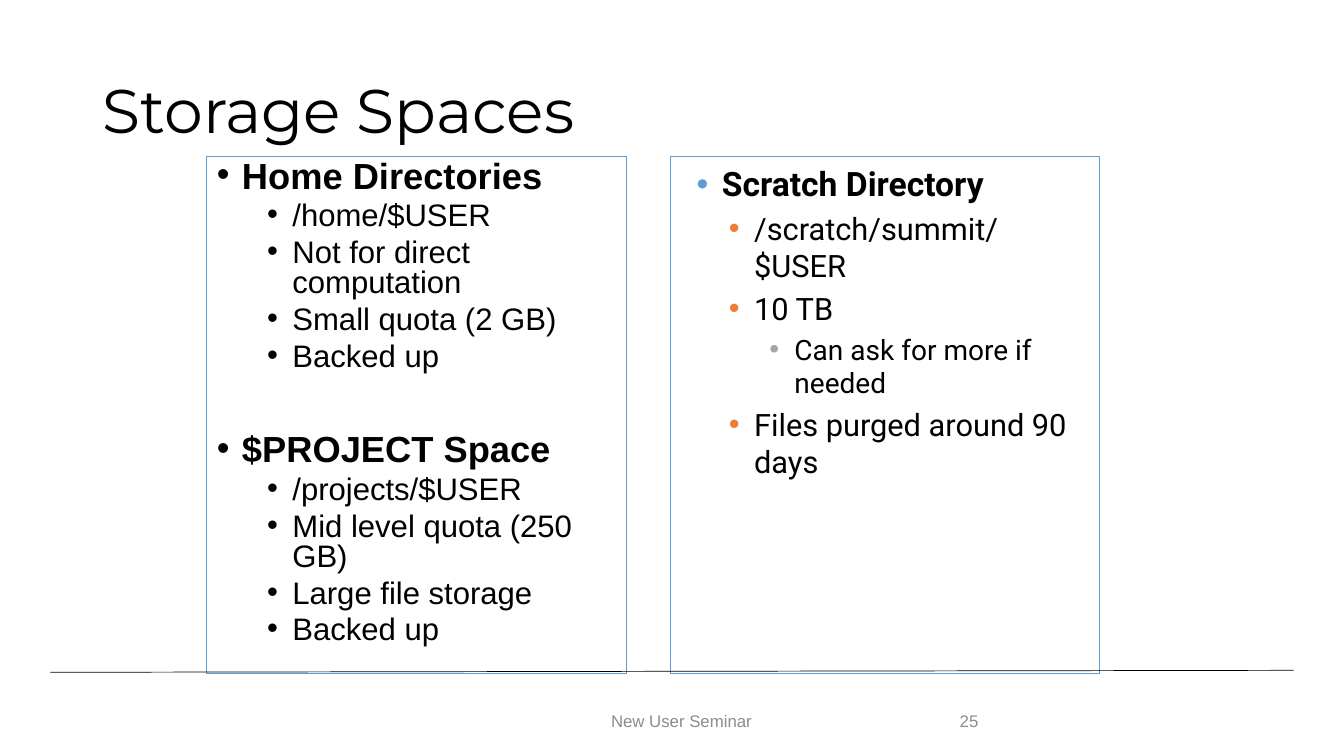
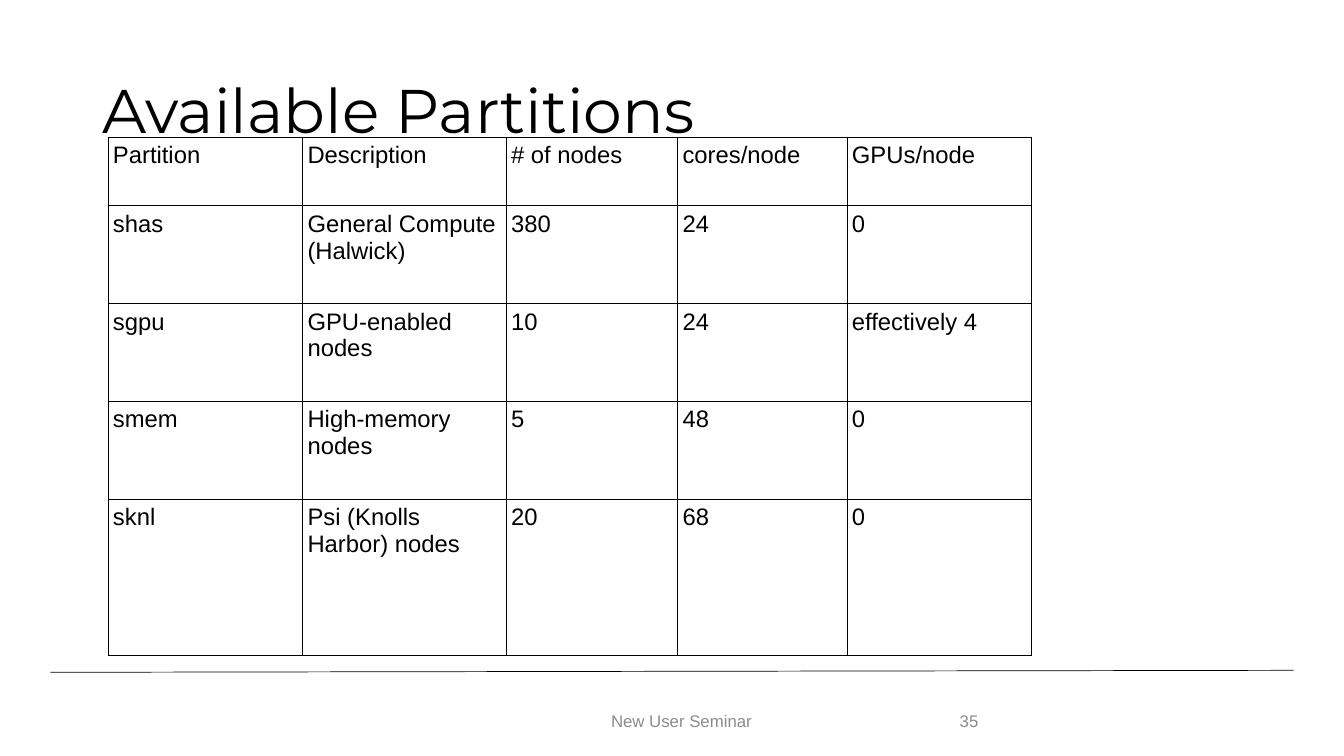
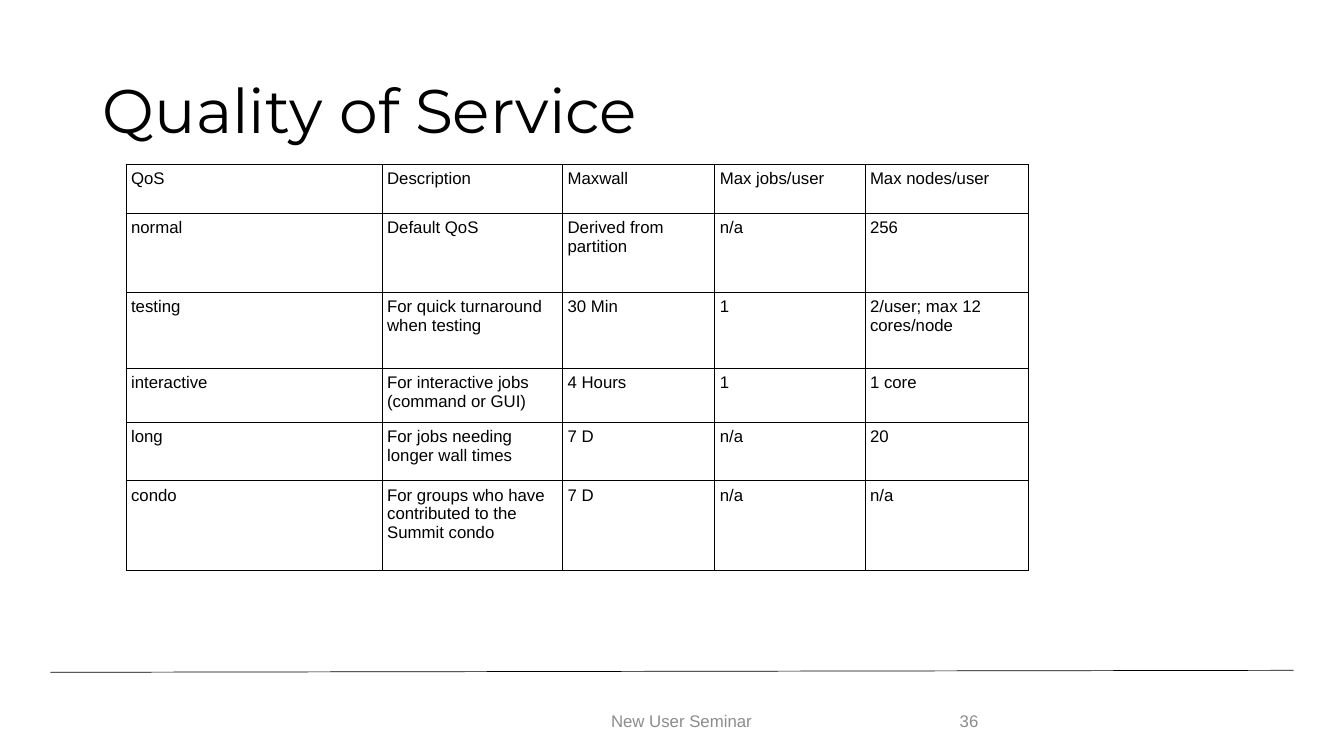
from dataclasses import dataclass

from lxml.etree import SubElement
from pptx import Presentation
from pptx.dml.color import RGBColor
from pptx.enum.shapes import MSO_CONNECTOR
from pptx.enum.text import MSO_ANCHOR, MSO_AUTO_SIZE, PP_ALIGN
from pptx.oxml.ns import qn
from pptx.util import Inches, Pt

BLACK = "000000"
GREY = "8C8C8C"
BLUE = "5B9BD5"
ORANGE = "ED7D31"
SILVER = "A5A5A5"
TITLE_FONT = "Montserrat"
TEXT_FONT = "Arial"
SCRATCH_FONT = "Roboto"
FOOTER = "New User Seminar"
TITLE_ONLY, TWO_CONTENT = 5, 3


@dataclass
class ListLevel:
    size: float
    indent: float
    before: float
    bullet: str = None
    bold: bool = False


HOME_LEVELS = [ListLevel(25.9, 0.25, 10, bold=True), ListLevel(22.2, 0.75, 5)]
SCRATCH_LEVELS = [
    ListLevel(24, 0.38, 4.8, BLUE, True),
    ListLevel(22, 0.7, 4.4, ORANGE),
    ListLevel(20, 1.1, 4, SILVER),
]
SECTION_GAP = 44

HOME_ITEMS = [
    (0, "Home Directories"),
    (1, "/home/$USER"),
    (1, "Not for direct computation"),
    (1, "Small quota (2 GB)"),
    (1, "Backed up"),
    (0, "$PROJECT Space"),
    (1, "/projects/$USER"),
    (1, "Mid level quota (250 GB)"),
    (1, "Large file storage"),
    (1, "Backed up"),
]
SCRATCH_ITEMS = [
    (0, "Scratch Directory"),
    (1, "/scratch/summit/$USER"),
    (1, "10 TB"),
    (2, "Can ask for more if needed"),
    (1, "Files purged around 90 days"),
]
PARTITIONS = [
    ["Partition", "Description", "# of nodes", "cores/node", "GPUs/node"],
    ["shas", "General Compute (Halwick)", "380", "24", "0"],
    ["sgpu", "GPU-enabled nodes", "10", "24", "effectively 4"],
    ["smem", "High-memory nodes", "5", "48", "0"],
    ["sknl", "Psi (Knolls Harbor) nodes", "20", "68", "0"],
]
QOS = [
    ["QoS", "Description", "Maxwall", "Max jobs/user", "Max nodes/user"],
    ["normal", "Default QoS", "Derived from partition", "n/a", "256"],
    ["testing", "For quick turnaround when testing", "30 Min", "1",
     "2/user; max 12 cores/node"],
    ["interactive", "For interactive jobs (command or GUI)", "4 Hours", "1", "1 core"],
    ["long", "For jobs needing longer wall times", "7 D", "n/a", "20"],
    ["condo", "For groups who have contributed to the Summit condo", "7 D", "n/a", "n/a"],
]


def rgb(value):
    return RGBColor.from_string(value)


def add_run(paragraph, text, size, font=TEXT_FONT, color=BLACK, bold=False):
    run = paragraph.add_run()
    run.text = text
    run.font.size = Pt(size)
    run.font.name = font
    run.font.bold = bold
    run.font.color.rgb = rgb(color)


def place(shape, left, top, width, height):
    shape.left, shape.top = Inches(left), Inches(top)
    shape.width, shape.height = Inches(width), Inches(height)


def set_frame(shape, anchor):
    frame = shape.text_frame
    frame.word_wrap = True
    frame.auto_size = MSO_AUTO_SIZE.NONE
    frame.vertical_anchor = anchor
    return frame


def add_rule(slide):
    rule = slide.shapes.add_connector(
        MSO_CONNECTOR.STRAIGHT, Inches(0.5), Inches(6.67), Inches(12.83), Inches(6.65))
    rule.line.color.rgb = rgb(BLACK)
    rule.line.width = Pt(0.5)
    SubElement(rule._element.spPr, qn("a:effectLst"))


def add_footer_text(slide, left, width, text, align):
    box = slide.shapes.add_textbox(Inches(left), Inches(6.95), Inches(width), Inches(0.4))
    paragraph = set_frame(box, MSO_ANCHOR.MIDDLE).paragraphs[0]
    paragraph.alignment = align
    add_run(paragraph, text, 12, color=GREY)


def add_slide(presentation, layout, title, number):
    """Add a slide with the shared title style, rule and footer."""
    slide = presentation.slides.add_slide(presentation.slide_layouts[layout])
    place(slide.shapes.title, 0.92, 0.4, 11.5, 1.45)
    paragraph = set_frame(slide.shapes.title, MSO_ANCHOR.MIDDLE).paragraphs[0]
    paragraph.alignment = PP_ALIGN.LEFT
    paragraph.line_spacing = 0.9
    add_run(paragraph, title, 44, TITLE_FONT)
    add_rule(slide)
    add_footer_text(slide, 4.51, 4.5, FOOTER, PP_ALIGN.CENTER)
    add_footer_text(slide, 9.42, 0.75, str(number), PP_ALIGN.LEFT)
    return slide


def set_bullet(paragraph, indent, color):
    properties = paragraph._p.get_or_add_pPr()
    properties.set("marL", str(Inches(indent)))
    properties.set("indent", str(Inches(-0.25)))
    if color:
        SubElement(SubElement(properties, qn("a:buClr")), qn("a:srgbClr"), val=color)
    SubElement(properties, qn("a:buFont"), typeface="Arial")
    SubElement(properties, qn("a:buChar"), char="•")


def fill_list(body, left, width, items, levels, font, line_spacing, insets=(0.1, 0.05)):
    """Turn a body placeholder into an outlined bullet list."""
    place(body, left, 1.55, width, 5.13)
    body.line.color.rgb = rgb(BLUE)
    body.line.width = Pt(0.75)
    frame = set_frame(body, MSO_ANCHOR.TOP)
    frame.margin_left = frame.margin_right = Inches(insets[0])
    frame.margin_top = frame.margin_bottom = Inches(insets[1])
    for index, (depth, text) in enumerate(items):
        level = levels[depth]
        paragraph = frame.add_paragraph() if index else frame.paragraphs[0]
        paragraph.level = depth
        set_bullet(paragraph, level.indent, level.bullet)
        paragraph.line_spacing = line_spacing
        before = level.before if depth else SECTION_GAP
        paragraph.space_before = Pt(before if index else 0)
        add_run(paragraph, text, level.size, font, bold=level.bold)


def set_borders(cell):
    properties = cell._tc.get_or_add_tcPr()
    for side in ("lnL", "lnR", "lnT", "lnB"):
        line = SubElement(properties, qn(f"a:{side}"), w=str(Pt(0.5)))
        SubElement(SubElement(line, qn("a:solidFill")), qn("a:srgbClr"), val=BLACK)


def add_grid(slide, left, top, widths, heights, rows, size):
    table = slide.shapes.add_table(
        len(rows), len(widths), Inches(left), Inches(top),
        Inches(sum(widths)), Inches(sum(heights))).table
    table.first_row = table.horz_banding = False
    for column, width in zip(table.columns, widths):
        column.width = Inches(width)
    for row, height, texts in zip(table.rows, heights, rows):
        row.height = Inches(height)
        for cell, text in zip(row.cells, texts):
            cell.margin_left = cell.margin_right = Inches(0.05)
            cell.margin_top = cell.margin_bottom = Inches(0.05)
            set_borders(cell)
            cell.fill.background()
            add_run(cell.text_frame.paragraphs[0], text, size)


def main():
    presentation = Presentation()
    presentation.slide_width = Inches(13.33)
    presentation.slide_height = Inches(7.5)

    storage = add_slide(presentation, TWO_CONTENT, "Storage Spaces", 25)
    fill_list(storage.placeholders[1], 2.05, 4.16, HOME_ITEMS, HOME_LEVELS, TEXT_FONT, 0.8)
    fill_list(storage.placeholders[2], 6.65, 4.26, SCRATCH_ITEMS, SCRATCH_LEVELS,
              SCRATCH_FONT, 1.0, insets=(0.13, 0.07))

    partitions = add_slide(presentation, TITLE_ONLY, "Available Partitions", 35)
    add_grid(partitions, 1.07, 1.36, [1.93, 2.02, 1.7, 1.68, 1.83],
             [0.68, 0.97, 0.97, 0.97, 1.55], PARTITIONS, 17)

    service = add_slide(presentation, TITLE_ONLY, "Quality of Service", 36)
    add_grid(service, 1.25, 1.63, [2.54, 1.79, 1.51, 1.49, 1.62],
             [0.49, 0.78, 0.75, 0.54, 0.58, 0.89], QOS, 12)

    presentation.save("out.pptx")


if __name__ == "__main__":
    main()
